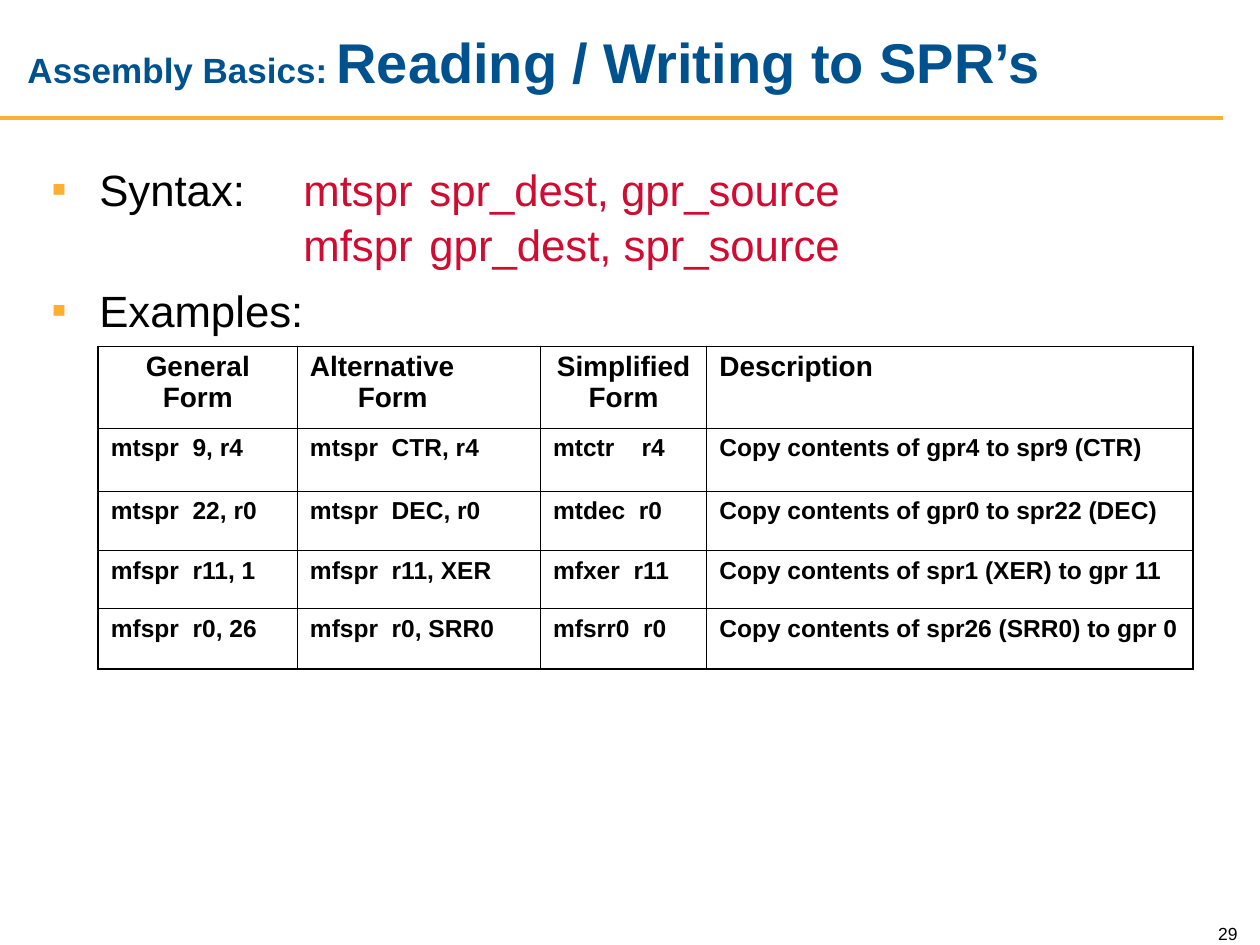
from dataclasses import dataclass

import pptx
import pptx.dml.color
import pptx.enum.shapes
import pptx.enum.text
import pptx.oxml
import pptx.oxml.ns
import pptx.util
from pptx.util import Inches

RGBColor = pptx.dml.color.RGBColor
ALIGN = pptx.enum.text.PP_ALIGN
ANCHOR = pptx.enum.text.MSO_ANCHOR

BLACK = RGBColor(0x00, 0x00, 0x00)
BLUE = RGBColor(0x00, 0x52, 0x8E)
GOLD = RGBColor(0xFB, 0xB0, 0x34)
RED = RGBColor(0xD0, 0x0C, 0x33)

FONT = "Arial"
INDENT = Inches(0.38)
OUTER_PT, INNER_PT = 1.08, 0.45


@dataclass
class Span:
    text: str
    size: float
    color: RGBColor = BLACK
    bold: bool = False


@dataclass
class Box:
    left: float
    top: float
    width: float
    height: float
    anchor: ANCHOR = ANCHOR.TOP


TITLE = [
    Span("Assembly Basics:", 20, BLUE, True),
    Span(" ", 18, BLUE, True),
    Span("Reading / Writing to SPR’s", 32, BLUE, True),
]
BULLETS = [
    [Span("Syntax:\t", 25),
     Span("mtspr\tspr_dest, gpr_source\n\t\tmfspr\tgpr_dest, spr_source", 25, RED)],
    [Span("Examples:", 25)],
]
COL_WIDTHS = [1.58, 1.93, 1.32, 3.86]
ROW_HEIGHTS = [0.65, 0.5, 0.47, 0.46, 0.48]
HEADER_ALIGN = [ALIGN.CENTER, ALIGN.LEFT, ALIGN.CENTER, ALIGN.LEFT]
ROWS = [
    ["General Form", "Alternative Form", "Simplified Form", "Description"],
    ["mtspr  9, r4", "mtspr  CTR, r4", "mtctr    r4", "Copy contents of gpr4 to spr9 (CTR)"],
    ["mtspr  22, r0", "mtspr  DEC, r0", "mtdec  r0", "Copy contents of gpr0 to spr22 (DEC)"],
    ["mfspr  r11, 1", "mfspr  r11, XER", "mfxer  r11", "Copy contents of spr1 (XER) to gpr 11"],
    ["mfspr  r0, 26", "mfspr  r0, SRR0", "mfsrr0  r0", "Copy contents of spr26 (SRR0) to gpr 0"],
]


def xml(tag: str, attrs: str, inner: str = ""):
    """Build one DrawingML element."""
    ns = pptx.oxml.ns.nsdecls("a")
    return pptx.oxml.parse_xml(f"<a:{tag} {ns} {attrs}>{inner}</a:{tag}>")


def add_box(s, box: Box):
    lengths = (box.left, box.top, box.width, box.height)
    tf = s.shapes.add_textbox(*map(Inches, lengths)).text_frame
    tf.word_wrap = True
    tf.vertical_anchor = box.anchor
    return tf


def add_spans(p, spans: list[Span]) -> None:
    for span in spans:
        for i, line in enumerate(span.text.split("\n")):
            if i:
                p.add_line_break()
            r = p.add_run()
            r.text = line
            formats = {"name": FONT, "size": pptx.util.Pt(span.size), "bold": span.bold}
            for name, value in formats.items():
                setattr(r.font, name, value)
            r.font.color.rgb = span.color


def hang(p) -> None:
    """Give the paragraph a hanging indent."""
    pPr = p._p.get_or_add_pPr()
    pPr.set("marL", str(INDENT))
    pPr.set("indent", str(-INDENT))


def add_bullet(p) -> None:
    hang(p)
    tabs = "".join(f'<a:tab pos="{Inches(n)}" algn="l"/>' for n in range(1, 9))
    for element in (
        xml("buClr", "", f'<a:srgbClr val="{GOLD}"/>'),
        xml("buFont", f'typeface="{FONT}"'),
        xml("buChar", 'char="▪"'),
        xml("tabLst", "", tabs),
    ):
        p._p.pPr.append(element)


def set_borders(cell, widths: dict[str, float]) -> None:
    tcPr = cell._tc.get_or_add_tcPr()
    for i, (side, width) in enumerate(widths.items()):
        fill = f'<a:solidFill><a:srgbClr val="{BLACK}"/></a:solidFill>'
        tcPr.insert(i, xml(f"ln{side}", f'w="{pptx.util.Pt(width)}"', fill))


def add_register_table(s, left: float, top: float) -> None:
    n_rows, n_cols = len(ROWS), len(COL_WIDTHS)
    table = s.shapes.add_table(
        n_rows, n_cols, Inches(left), Inches(top),
        Inches(sum(COL_WIDTHS)), Inches(sum(ROW_HEIGHTS)),
    ).table
    table.first_row = table.horz_banding = False
    for column, width in zip(table.columns, COL_WIDTHS):
        column.width = Inches(width)
    for row, height in zip(table.rows, ROW_HEIGHTS):
        row.height = Inches(height)
    for i, texts in enumerate(ROWS):
        for j, text in enumerate(texts):
            cell = table.cell(i, j)
            cell.fill.background()
            edges = {"L": j == 0, "R": j == n_cols - 1, "T": i == 0, "B": i == n_rows - 1}
            set_borders(cell, {k: OUTER_PT if v else INNER_PT for k, v in edges.items()})
            p = cell.text_frame.paragraphs[0]
            p.alignment = ALIGN.LEFT if i else HEADER_ALIGN[j]
            if p.alignment == ALIGN.LEFT:
                hang(p)
            if i == 0:
                p.line_spacing = 0.97
            add_spans(p, [Span(text, 14 if i else 16, bold=True)])


def add_title_rule(s) -> None:
    line = s.shapes.add_connector(
        pptx.enum.shapes.MSO_CONNECTOR.STRAIGHT,
        Inches(0), Inches(0.94), Inches(9.71), Inches(0.94),
    )
    line.line.color.rgb = GOLD
    line.line.width = pptx.util.Pt(2.25)
    line._element.spPr.append(xml("effectLst", ""))


def main() -> None:
    prs = pptx.Presentation()
    prs.slide_width, prs.slide_height = Inches(10), Inches(7.5)
    s = prs.slides.add_slide(prs.slide_layouts[6])

    add_title_rule(s)
    p = add_box(s, Box(9.42, 7.24, 0.5, 0.3, ANCHOR.BOTTOM)).paragraphs[0]
    p.alignment = ALIGN.RIGHT
    add_spans(p, [Span("29", 10)])
    title = add_box(s, Box(0.12, 0.11, 9, 0.75, ANCHOR.MIDDLE))
    add_spans(title.paragraphs[0], TITLE)
    add_register_table(s, 0.78, 2.75)

    tf = add_box(s, Box(0.31, 1.22, 8.51, 1.86))
    for i, spans in enumerate(BULLETS):
        p = tf.add_paragraph() if i else tf.paragraphs[0]
        add_bullet(p)
        p.line_spacing = 1.05
        if i:
            p.space_before = pptx.util.Pt(6.2)
        add_spans(p, spans)

    prs.save("out.pptx")


if __name__ == "__main__":
    main()
